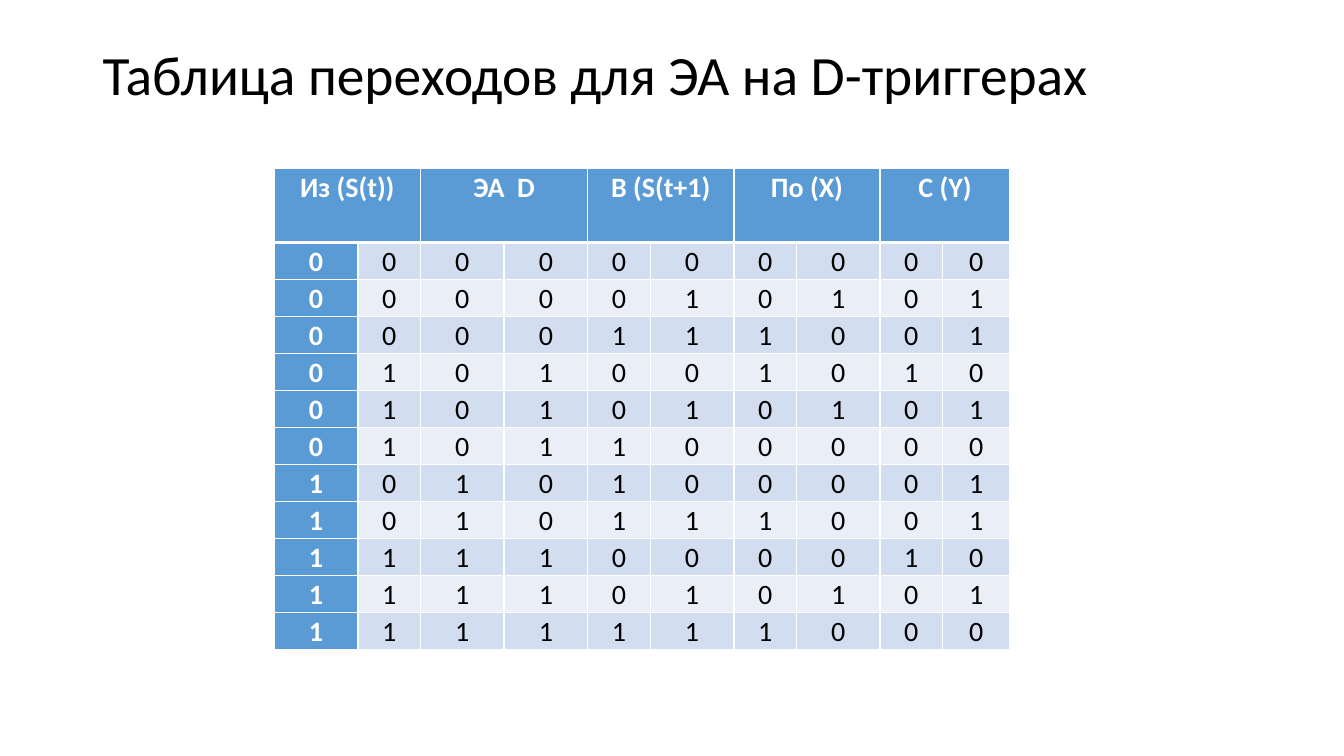
"""Build the slide with the transition table of a D flip-flop automaton."""
from lxml.etree import SubElement as Sub
from pptx import Presentation
from pptx.dml.color import RGBColor
from pptx.enum.text import MSO_ANCHOR as Anchor, PP_ALIGN as Align
from pptx.oxml.ns import qn
from pptx.util import Inches, Pt

BLACK = RGBColor(0, 0, 0)
WHITE = RGBColor(255, 255, 255)
BLUE = RGBColor(0x5B, 0x9B, 0xD5)
BANDS = RGBColor(0xD2, 0xDE, 0xEF), RGBColor(0xEA, 0xEF, 0xF7)

HEADS = ["Из (S(t))", "ЭА  D", "В (S(t+1)", "По (X)", "C (Y)"]
BITS = [
    "0000000000",
    "0000010101",
    "0000111001",
    "0101001010",
    "0101010101",
    "0101100000",
    "1010100001",
    "1010111001",
    "1111000010",
    "1111010101",
    "1111111000",
]
WIDTHS = [0.83, 0.62, 0.83, 0.83, 0.62, 0.83, 0.62, 0.83, 0.62, 0.67]
LEFT, TOP, HIGH = 2.72, 1.67, 4.78


def write(frame, text, size=20, color=BLACK, bold=False, align=Align.CENTER, space=1.07):
    """Put one formatted paragraph into a text frame."""
    para = frame.paragraphs[0]
    para.alignment = align
    para.line_spacing = space
    run = para.add_run()
    run.text = text
    font = run.font
    font.name, font.size, font.bold = "Calibri", Pt(size), bold
    font.color.rgb = color


def edge(cell, top=1, low=1):
    """Draw white borders round a cell, with widths in points."""
    props = cell._tc.get_or_add_tcPr()
    for side, wide in zip("LRTB", (1, 1, top, low)):
        line = Sub(props, qn(f"a:ln{side}"), w=str(Pt(wide)))
        fill = Sub(line, qn("a:solidFill"))
        Sub(fill, qn("a:srgbClr"), val=str(WHITE))


def paint(cell, color, **widths):
    """Set the margins, borders and fill of a cell."""
    cell.margin_left = cell.margin_right = Inches(0.07)
    cell.margin_top = cell.margin_bottom = 0
    edge(cell, **widths)
    cell.fill.solid()
    cell.fill.fore_color.rgb = color


def add_title(slide, text):
    """Add the slide title."""
    box = slide.shapes.add_textbox(Inches(0.92), Inches(0.4), Inches(11.5), Inches(0.73))
    frame = box.text_frame
    frame.word_wrap = True
    frame.vertical_anchor = Anchor.MIDDLE
    write(frame, text, size=39.6, align=Align.LEFT, space=0.9)


def add_grid(slide):
    """Add the table, its header row twice as high as the others."""
    rows, cols = len(BITS) + 1, len(WIDTHS)
    unit = Inches(HIGH / (rows + 1))
    shape = slide.shapes.add_table(
        rows, cols, Inches(LEFT), Inches(TOP), Inches(sum(WIDTHS)), Inches(HIGH)
    )
    table = shape.table
    table.first_col = True
    for col, wide in zip(table.columns, WIDTHS):
        col.width = Inches(wide)
    for row in table.rows:
        row.height = unit
    table.rows[0].height = 2 * unit
    for c in range(cols):
        paint(table.cell(0, c), BLUE, low=3)
    for n, head in enumerate(HEADS):
        cell = table.cell(0, 2 * n)
        cell.merge(table.cell(0, 2 * n + 1))
        write(cell.text_frame, head, color=WHITE, bold=True)
    for r, bits in enumerate(BITS, 1):
        for c, bit in enumerate(bits):
            first = c == 0
            cell = table.cell(r, c)
            paint(cell, BLUE if first else BANDS[(r - 1) % 2], top=3 if r == 1 else 1)
            write(cell.text_frame, bit, color=WHITE if first else BLACK, bold=first)


def main():
    """Build and save the slide."""
    deck = Presentation()
    deck.slide_width, deck.slide_height = Inches(13.33), Inches(7.5)
    slide = deck.slides.add_slide(deck.slide_layouts[6])
    add_title(slide, "Таблица переходов для ЭА на D-триггерах")
    add_grid(slide)
    deck.save("out.pptx")


if __name__ == "__main__":
    main()
